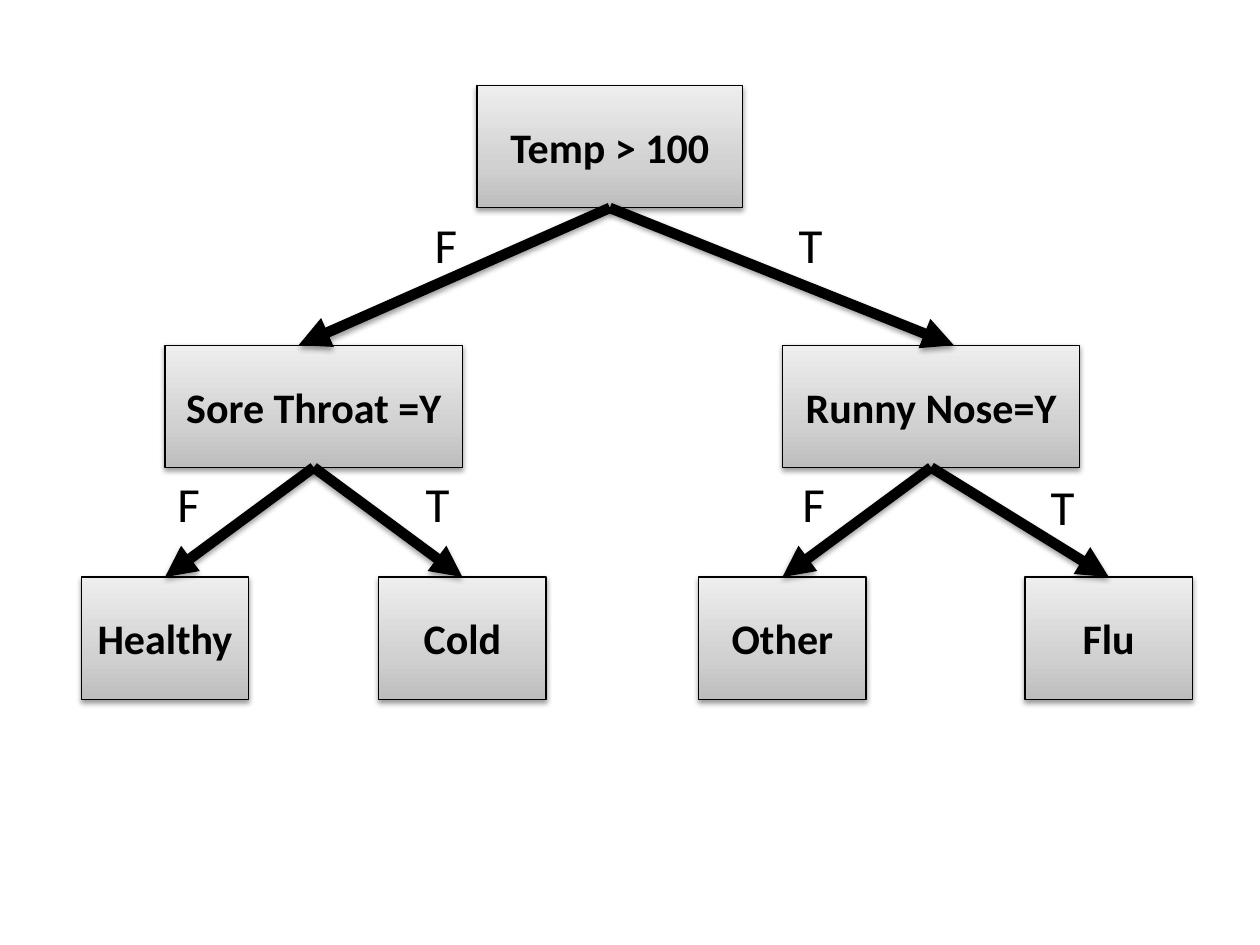
from copy import deepcopy
from dataclasses import dataclass

from lxml import etree
from pptx import Presentation
from pptx import util as u
from pptx.dml.color import RGBColor
from pptx.enum import shapes, text
from pptx.oxml import ns, parse_xml

BLACK = RGBColor(0, 0, 0)
GRADIENT = [(0, RGBColor(0xBD, 0xBD, 0xBD)), (0.35, RGBColor(0xD1, 0xD1, 0xD1)),
            (1, RGBColor(0xEE, 0xEE, 0xEE))]
ROW_TOPS = [0.68, 2.74, 4.58]
ROW_WIDTHS = [2.11, 2.36, 1.33]
BOX_HEIGHT = 0.97
BRANCH_WIDTH, BRANCH_HEIGHT = 0.39, 0.57
BOX_FONT = {"name": "Calibri", "size": u.Pt(24), "bold": True}
BRANCH_FONT = {"name": "Calibri", "size": u.Pt(28)}
SHADOW = (
    f'<a:effectLst {ns.nsdecls("a")}>'
    '<a:outerShdw blurRad="40000" dist="20000" dir="5400000" rotWithShape="0">'
    '<a:srgbClr val="000000"><a:alpha val="38000"/></a:srgbClr>'
    '</a:outerShdw></a:effectLst>'
)


@dataclass(frozen=True)
class Node:
    label: str
    center: float
    row: int

    @property
    def top(self) -> float:
        return ROW_TOPS[self.row]

    @property
    def bottom(self) -> float:
        return self.top + BOX_HEIGHT


@dataclass(frozen=True)
class Branch:
    parent: Node
    child: Node
    answer: str
    label_left: float
    tip_shift: float = 0
    label_drop: float = 0


def write(frame, words: str, font: dict) -> None:
    para = frame.paragraphs[0]
    span = para.add_run()
    span.text = words
    for name, value in font.items():
        setattr(span.font, name, value)
    span.font.color.rgb = BLACK


def cast_shadow(item) -> None:
    item.element.spPr.append(parse_xml(SHADOW))


def fill_gradient(box) -> None:
    box.fill.gradient()
    box.fill.gradient_angle = 90
    stops = box.element.spPr.find(f'{ns.qn("a:gradFill")}/{ns.qn("a:gsLst")}')
    stops.insert(1, deepcopy(stops[0]))
    for stop, (position, color) in zip(box.fill.gradient_stops, GRADIENT):
        stop.position = position
        stop.color.rgb = color


def draw_node(page, node: Node) -> None:
    width = ROW_WIDTHS[node.row]
    box = page.shapes.add_shape(
        shapes.MSO_SHAPE.RECTANGLE, u.Inches(node.center - width / 2),
        u.Inches(node.top), u.Inches(width), u.Inches(BOX_HEIGHT))
    fill_gradient(box)
    box.line.color.rgb = BLACK
    box.line.width = u.Pt(0.75)
    cast_shadow(box)
    box.text_frame.vertical_anchor = text.MSO_ANCHOR.MIDDLE
    box.text_frame.paragraphs[0].alignment = text.PP_ALIGN.CENTER
    write(box.text_frame, node.label, BOX_FONT)


def draw_arrow(page, branch: Branch) -> None:
    arrow = page.shapes.add_connector(
        shapes.MSO_CONNECTOR.STRAIGHT,
        u.Inches(branch.parent.center), u.Inches(branch.parent.bottom),
        u.Inches(branch.child.center + branch.tip_shift), u.Inches(branch.child.top))
    arrow.line.color.rgb = BLACK
    arrow.line.width = u.Pt(6)
    etree.SubElement(arrow.line._get_or_add_ln(), ns.qn("a:tailEnd"), type="triangle")
    cast_shadow(arrow)


def draw_answer(page, branch: Branch) -> None:
    box = page.shapes.add_textbox(
        u.Inches(branch.label_left), u.Inches(branch.parent.bottom + branch.label_drop),
        u.Inches(BRANCH_WIDTH), u.Inches(BRANCH_HEIGHT))
    box.text_frame.word_wrap = False
    box.text_frame.auto_size = text.MSO_AUTO_SIZE.SHAPE_TO_FIT_TEXT
    write(box.text_frame, branch.answer, BRANCH_FONT)


temperature = Node("Temp > 100", 4.84, 0)
throat = Node("Sore Throat =Y", 2.49, 1)
nose = Node("Runny Nose=Y", 7.39, 1)
healthy = Node("Healthy", 1.31, 2)
cold = Node("Cold", 3.67, 2)
other = Node("Other", 6.21, 2)
flu = Node("Flu", 8.8, 2)

nodes = [temperature, throat, nose, healthy, cold, other, flu]
branches = [
    Branch(temperature, throat, "F", 3.35, tip_shift=-0.12),
    Branch(temperature, nose, "T", 6.24, tip_shift=0.18),
    Branch(throat, healthy, "F", 1.31),
    Branch(throat, cold, "T", 3.28),
    Branch(nose, other, "F", 6.27),
    Branch(nose, flu, "T", 8.24, label_drop=0.02),
]

deck = Presentation()
deck.slide_width, deck.slide_height = u.Inches(10), u.Inches(7.5)
page = deck.slides.add_slide(deck.slide_layouts[6])
for node in nodes:
    draw_node(page, node)
for draw in (draw_arrow, draw_answer):
    for branch in branches:
        draw(page, branch)
deck.save("out.pptx")
